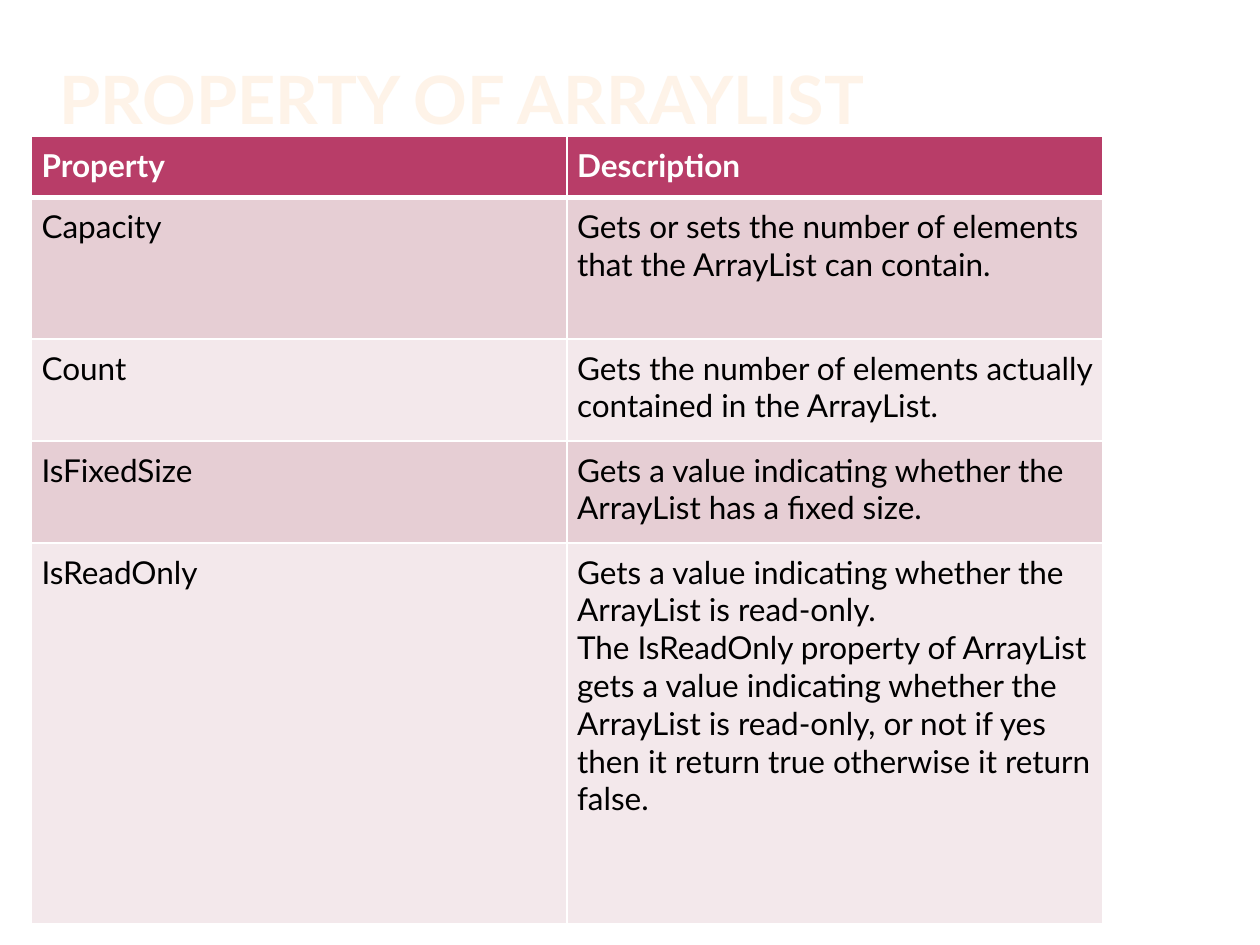
import pptx
import pptx.dml.color
import pptx.enum.text
import pptx.oxml
import pptx.oxml.ns
import pptx.util
from lxml import etree

ROWS = [
    ("Property", ["Description"]),
    ("Capacity", ["Gets or sets the number of elements that the ArrayList can contain."]),
    ("Count", ["Gets the number of elements actually contained in the ArrayList."]),
    ("IsFixedSize", ["Gets a value indicating whether the ArrayList has a fixed size."]),
    ("IsReadOnly", [
        "Gets a value indicating whether the ArrayList is read-only.",
        "The IsReadOnly property of ArrayList gets a value indicating whether the "
        "ArrayList is read-only, or not if yes then it return true otherwise it return false.",
    ]),
]
HEIGHTS = [0.49, 1.12, 0.81, 0.81, 3.02]


def color(code):
    return pptx.dml.color.RGBColor.from_string(code)


class Deck:
    font = "Lato"
    head = "B83D68"
    bands = ["F3E8EB", "E6CED4"]
    line = "FFFFFF"

    def __init__(self, wide, high):
        self.show = pptx.Presentation()
        self.wide = self.show.slide_width = pptx.util.Inches(wide)
        self.high = self.show.slide_height = pptx.util.Inches(high)
        self.slide = self.show.slides.add_slide(self.show.slide_layouts[6])

    def place(self, left, top, width, height):
        shares = ((left, self.wide), (top, self.high), (width, self.wide), (height, self.high))
        return [round(share * size) for share, size in shares]

    def label(self, frame, texts, tint, **style):
        for i, text in enumerate(texts):
            para = frame.paragraphs[0] if i == 0 else frame.add_paragraph()
            run = para.add_run()
            run.text = text
            for key, value in {"name": self.font, **style}.items():
                setattr(run.font, key, value)
            run.font.color.rgb = color(tint)

    def title(self, text, box, tint):
        frame = self.slide.shapes.add_textbox(*self.place(*box)).text_frame
        edge = pptx.util.Inches(0.05)
        style = {
            "word_wrap": True,
            "vertical_anchor": pptx.enum.text.MSO_ANCHOR.BOTTOM,
            "margin_left": edge, "margin_right": edge,
            "margin_top": 0, "margin_bottom": 0,
        }
        for key, value in style.items():
            setattr(frame, key, value)
        self.label(frame, [text], tint, size=pptx.util.Pt(38), bold=True)

    def border(self, cell, row):
        props = cell._tc.get_or_add_tcPr()
        thick = {"T": 3 if row == 1 else 1, "B": 3 if row == 0 else 1}
        for side in "LRTB":
            edge = etree.SubElement(props, pptx.oxml.ns.qn(f"a:ln{side}"))
            edge.set("w", str(pptx.util.Pt(thick.get(side, 1))))
            fill = etree.SubElement(edge, pptx.oxml.ns.qn("a:solidFill"))
            etree.SubElement(fill, pptx.oxml.ns.qn("a:srgbClr")).set("val", self.line)

    def cell(self, cell, row, texts):
        for side in ("left", "right", "top", "bottom"):
            setattr(cell, f"margin_{side}", pptx.util.Inches(0.08))
        self.border(cell, row)
        cell.fill.solid()
        cell.fill.fore_color.rgb = color(self.bands[row % 2] if row else self.head)
        tint = "000000" if row else "FFFFFF"
        self.label(cell.text_frame, texts, tint, size=pptx.util.Pt(18), bold=row == 0)

    def table(self, rows, heights, box):
        grid = self.slide.shapes.add_table(len(rows), 2, *self.place(*box)).table
        for i, (name, about) in enumerate(rows):
            grid.rows[i].height = pptx.util.Inches(heights[i])
            for j, texts in enumerate(([name], about)):
                self.cell(grid.cell(i, j), i, texts)


def main():
    deck = Deck(10, 7.5)
    deck.title("PROPERTY OF ARRAYLIST", (0.042, 0.17 / 7.5, 0.783, 0.92 / 7.5), "FEF3E8")
    deck.table(ROWS, HEIGHTS, (0.025, 1.08 / 7.5, 0.85, 6.25 / 7.5))
    deck.show.save("out.pptx")


if __name__ == "__main__":
    main()
